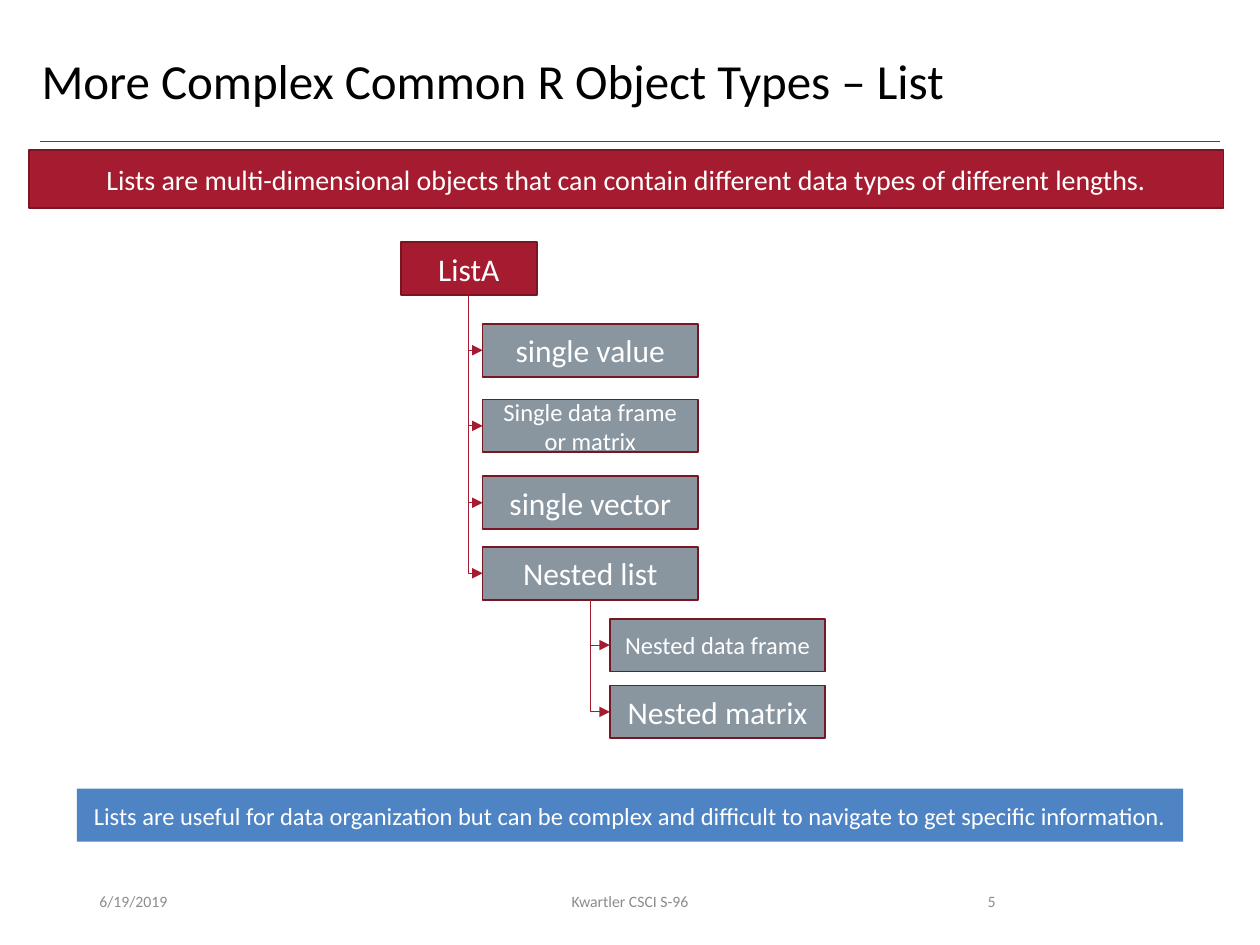
import pptx
import pptx.util
import pptx.dml.color
import pptx.enum.shapes
import pptx.enum.text
import pptx.oxml.ns
import lxml.etree

COLORS = {"crimson": "A51C30", "edge": "7A1524", "slate": "8996A0", "blue": "4E84C4",
          "white": "FFFFFF", "black": "000000", "muted": "8C8C8C"}
INCH = pptx.util.Inches
ALIGN = pptx.enum.text.PP_ALIGN
ANCHOR = pptx.enum.text.MSO_ANCHOR
RECT = pptx.enum.shapes.MSO_SHAPE.RECTANGLE
ELBOW = pptx.enum.shapes.MSO_CONNECTOR.ELBOW
STRAIGHT = pptx.enum.shapes.MSO_CONNECTOR.STRAIGHT

prs = pptx.Presentation()
prs.slide_width, prs.slide_height = INCH(10), INCH(7.5)
slide = prs.slides.add_slide(prs.slide_layouts[5])


def put_text(text, at, sp=None, size=18, color="white", fill=None, line=None,
             align=ALIGN.CENTER, anchor=ANCHOR.MIDDLE):
    """Write text in a given shape, a filled rectangle or a plain text box."""
    box = [INCH(v) for v in at]
    if fill:
        sp = slide.shapes.add_shape(RECT, *box)
        sp.shadow.inherit = False
        sp.fill.solid()
        sp.fill.fore_color.rgb = pptx.dml.color.RGBColor.from_string(COLORS[fill])
        if line:
            sp.line.color.rgb = pptx.dml.color.RGBColor.from_string(COLORS[line])
            sp.line.width = pptx.util.Pt(1)
        else:
            sp.line.fill.background()
    elif sp is None:
        sp = slide.shapes.add_textbox(*box)
    sp.left, sp.top, sp.width, sp.height = box
    tf = sp.text_frame
    tf.word_wrap = True
    tf.auto_size = pptx.enum.text.MSO_AUTO_SIZE.NONE
    tf.vertical_anchor = anchor
    p = tf.paragraphs[0]
    p.alignment = align
    r = p.add_run()
    r.text = text
    r.font.name, r.font.size = "Calibri", pptx.util.Pt(size)
    r.font.color.rgb = pptx.dml.color.RGBColor.from_string(COLORS[color])
    return sp


def style_line(connector):
    """Thin crimson line without a shadow."""
    connector.line.color.rgb = pptx.dml.color.RGBColor.from_string(COLORS["crimson"])
    connector.line.width = pptx.util.Pt(0.5)
    lxml.etree.SubElement(connector._element.spPr, pptx.oxml.ns.qn("a:effectLst"))


# Title and rule
title = put_text("More Complex Common R Object Types – List", (0.23, 0.4, 9.08, 0.65),
                 sp=slide.shapes.title, size=28, color="black",
                 align=ALIGN.LEFT, anchor=ANCHOR.TOP)
title.text_frame.paragraphs[0].line_spacing = 0.9
style_line(slide.shapes.add_connector(STRAIGHT, INCH(0.32), INCH(1.12), INCH(9.68), INCH(1.12)))

# Footer
for text, left, width, align in [("6/19/2019", 0.69, 2.25, ALIGN.LEFT),
                                 ("5", 7.06, 0.94, ALIGN.RIGHT),
                                 ("Kwartler CSCI S-96", 3.31, 3.38, ALIGN.CENTER)]:
    put_text(text, (left, 6.95, width, 0.4), size=9, color="muted", align=align)

# Takeaway and definition bars
ROW_H = 0.42
put_text("Lists are useful for data organization but can be complex and difficult to "
         "navigate to get specific information.", (0.61, 6.26, 8.78, ROW_H), size=14, fill="blue")
put_text("Lists are multi-dimensional objects that can contain different data types of "
         "different lengths.", (0.23, 1.19, 9.48, 0.46), size=16, fill="crimson", line="edge")

# Tree nodes: text, parent, left, top, size
CHILD_X, NESTED_X, NODE_W = 3.83, 4.84, 1.71
nodes = {"ListA": put_text("ListA", (3.18, 1.92, 1.08, ROW_H), fill="crimson", line="edge")}
branches = []
for text, parent, left, top, size in [
        ("single value", "ListA", CHILD_X, 2.57, 18),
        ("Single data frame or matrix", "ListA", CHILD_X, 3.17, 14),
        ("single vector", "ListA", CHILD_X, 3.78, 18),
        ("Nested list", "ListA", CHILD_X, 4.34, 18),
        ("Nested data frame", "Nested list", NESTED_X, 4.91, 14),
        ("Nested matrix", "Nested list", NESTED_X, 5.44, 18)]:
    nodes[text] = put_text(text, (left, top, NODE_W, ROW_H), size=size, fill="slate", line="edge")
    branches.append((nodes[parent], nodes[text]))

# Branches: down from the parent's bottom, then right to the child's left side
for parent, child in branches:
    x1, y1 = parent.left + parent.width // 2, parent.top + parent.height
    x2, y2 = child.left, child.top + child.height // 2
    c = slide.shapes.add_connector(ELBOW, x1, y1, x2, y2)
    c.begin_connect(parent, 2)
    c.end_connect(child, 1)
    style_line(c)
    # A single bend is a flipped bentConnector2 turned by 270 degrees
    run, drop = x2 - x1, y2 - y1
    c.left, c.top = (x1 + x2 - drop) // 2, (y1 + y2 - run) // 2
    c.width, c.height = drop, run
    spPr = c._element.spPr
    xfrm = spPr.find(pptx.oxml.ns.qn("a:xfrm"))
    xfrm.set("rot", "16200000")
    xfrm.set("flipH", "1")
    spPr.find(pptx.oxml.ns.qn("a:prstGeom")).set("prst", "bentConnector2")
    ln = spPr.find(pptx.oxml.ns.qn("a:ln"))
    lxml.etree.SubElement(ln, pptx.oxml.ns.qn("a:tailEnd"), type="triangle")

prs.save("out.pptx")
